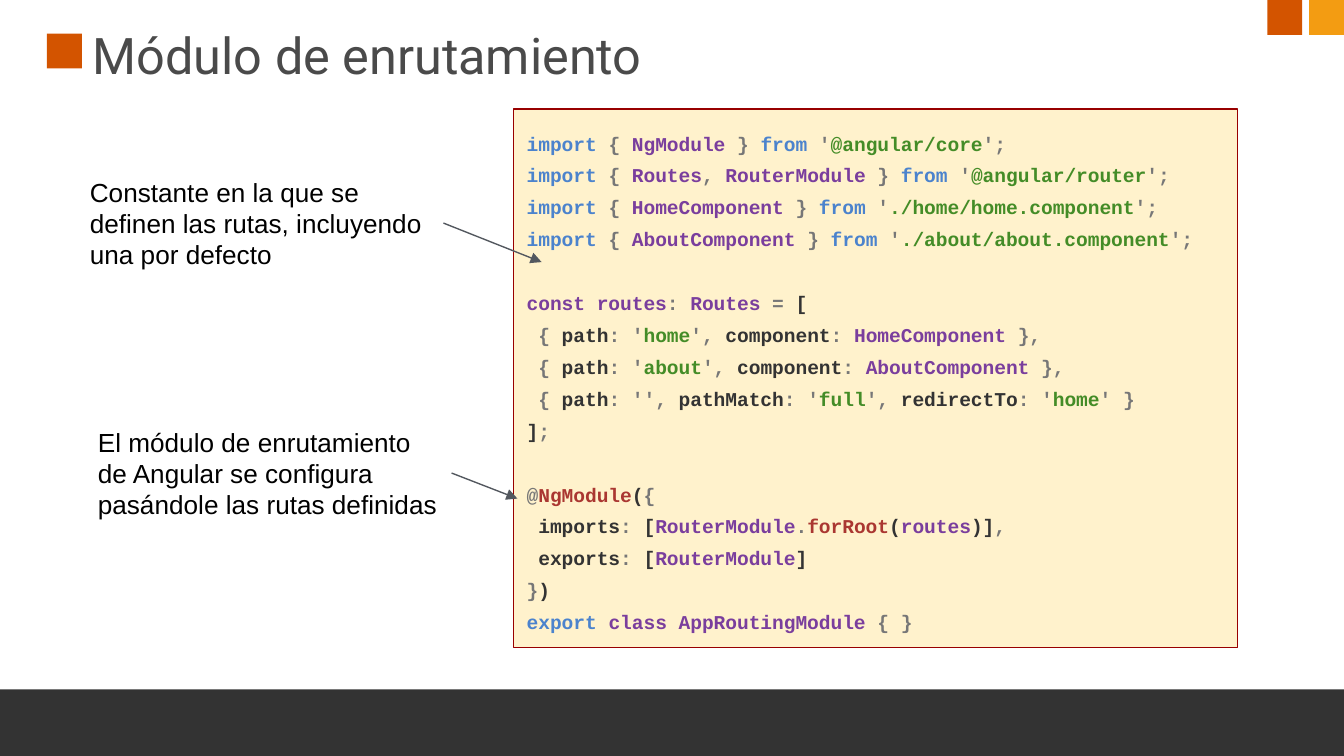
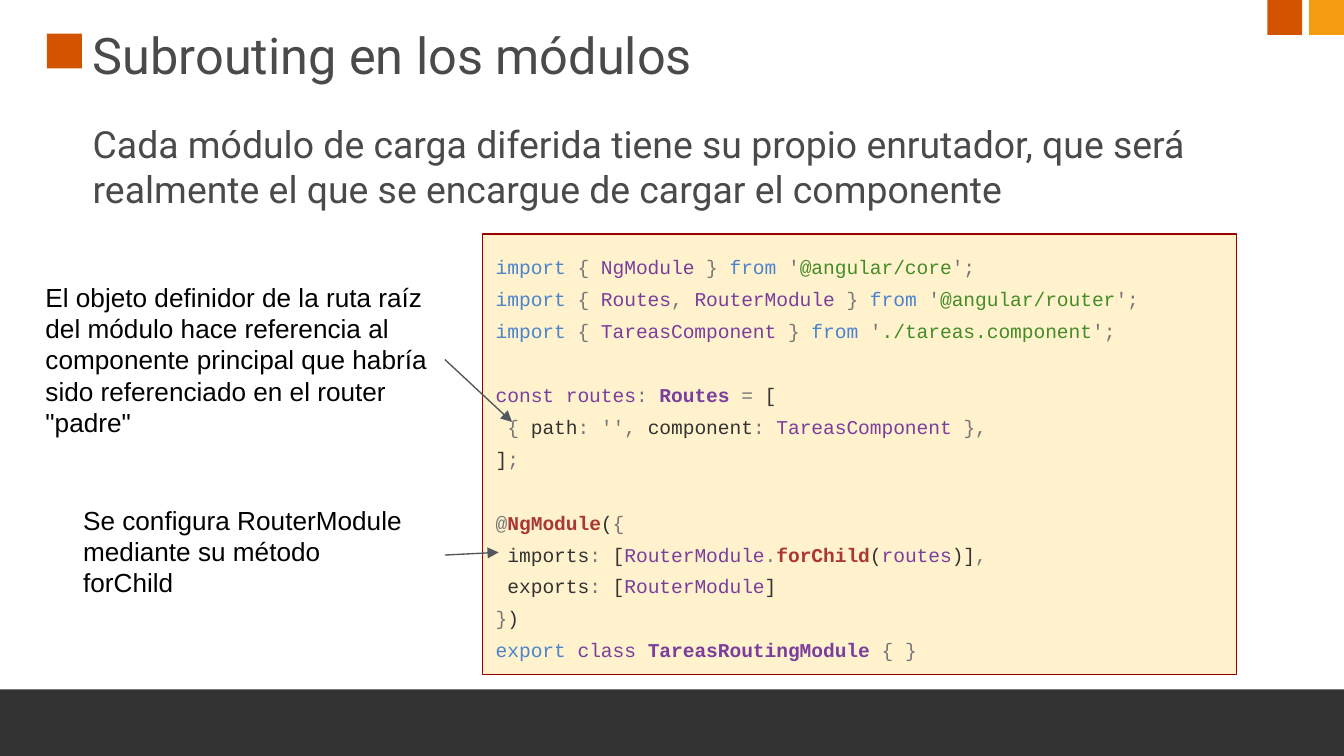
from dataclasses import dataclass
from itertools import groupby

from lxml.etree import SubElement
from pptx import Presentation
from pptx.dml.color import RGBColor
from pptx.enum.shapes import MSO_CONNECTOR, MSO_SHAPE
from pptx.enum.text import MSO_ANCHOR, MSO_AUTO_SIZE, PP_ALIGN
from pptx.oxml.ns import qn
from pptx.shapes.autoshape import Shape
from pptx.slide import Slide, SlideLayout
from pptx.text.text import TextFrame
from pptx.util import Inches, Pt

ORANGE = RGBColor(0xD3, 0x54, 0x00)
AMBER = RGBColor(0xF3, 0x9C, 0x12)
CHARCOAL = RGBColor(0x33, 0x33, 0x33)
TITLE_GREY = RGBColor(0x4A, 0x4A, 0x4A)
BLACK = RGBColor(0x00, 0x00, 0x00)
ARROW_GREY = RGBColor(0x53, 0x58, 0x5F)
CREAM = RGBColor(0xFF, 0xF2, 0xCC)
DARK_RED = RGBColor(0x98, 0x00, 0x00)

CODE_BLUE = RGBColor(0x4B, 0x83, 0xCD)
CODE_GREY = RGBColor(0x77, 0x77, 0x77)
CODE_PURPLE = RGBColor(0x7A, 0x3E, 0x9D)
CODE_GREEN = RGBColor(0x44, 0x8C, 0x27)
CODE_RED = RGBColor(0xAA, 0x37, 0x31)

WORD_COLOURS = {
    **dict.fromkeys(("import", "from", "export"), CODE_BLUE),
    **dict.fromkeys(("path", "pathMatch", "component", "redirectTo",
                     "imports", "exports"), CHARCOAL),
    **dict.fromkeys(("forRoot", "forChild"), CODE_RED),
}
CODE_SIZE = Pt(10.5)


@dataclass(frozen=True)
class Area:
    left: float
    top: float
    width: float
    height: float

    def lengths(self) -> tuple:
        return tuple(Inches(value) for value in
                     (self.left, self.top, self.width, self.height))


@dataclass(frozen=True)
class Band:
    area: Area
    colour: RGBColor


@dataclass(frozen=True)
class Note:
    text: str
    area: Area
    arrow_tip: tuple[float, float]
    anchor: MSO_ANCHOR = MSO_ANCHOR.TOP


@dataclass(frozen=True)
class CodePanel:
    code: str
    area: Area
    all_bold: bool


@dataclass(frozen=True)
class Lesson:
    title: str
    panel: CodePanel
    notes: tuple[Note, ...]
    summary: str = ""


TITLE_AREA = Area(0.63, 0.12, 8.57, 0.59)
SUMMARY_AREA = Area(0.63, 0.84, 8.57, 0.78)
BANDS = (
    Band(Area(0.35, 0.25, 0.26, 0.26), ORANGE),
    Band(Area(-0.03, 5.13, 10.05, 0.51), CHARCOAL),
    Band(Area(9.43, 0, 0.26, 0.26), ORANGE),
    Band(Area(9.74, 0, 0.26, 0.26), AMBER),
)

ROOT_ROUTING = """\
import { NgModule } from '@angular/core';
import { Routes, RouterModule } from '@angular/router';
import { HomeComponent } from './home/home.component';
import { AboutComponent } from './about/about.component';

const routes: Routes = [
 { path: 'home', component: HomeComponent },
 { path: 'about', component: AboutComponent },
 { path: '', pathMatch: 'full', redirectTo: 'home' }
];

@NgModule({
 imports: [RouterModule.forRoot(routes)],
 exports: [RouterModule]
})
export class AppRoutingModule { }"""

CHILD_ROUTING = """\
import { NgModule } from '@angular/core';
import { Routes, RouterModule } from '@angular/router';
import { TareasComponent } from './tareas.component';

const routes: Routes = [
 { path: '', component: TareasComponent },
];

@NgModule({
 imports: [RouterModule.forChild(routes)],
 exports: [RouterModule]
})
export class TareasRoutingModule { }"""

LESSONS = (
    Lesson(
        "Módulo de enrutamiento",
        CodePanel(ROOT_ROUTING, Area(3.82, 0.81, 5.39, 4.01), True),
        (
            Note("Constante en la que se definen las rutas, incluyendo una por defecto",
                 Area(0.57, 1.21, 2.73, 0.9), (4.03, 1.95)),
            Note("El módulo de enrutamiento de Angular se configura "
                 "pasándole las rutas definidas",
                 Area(0.63, 3.07, 2.73, 0.9), (3.85, 3.71)),
        ),
    ),
    Lesson(
        "Subrouting en los módulos",
        CodePanel(CHILD_ROUTING, Area(3.59, 1.74, 5.61, 3.28), False),
        (
            Note("El objeto definidor de la ruta raíz del módulo hace referencia al "
                 "componente principal que habría sido referenciado en el router \"padre\"",
                 Area(0.24, 1.99, 3.07, 1.37), (3.81, 3.14), MSO_ANCHOR.MIDDLE),
            Note("Se configura RouterModule\nmediante su método\nforChild",
                 Area(0.52, 3.65, 2.79, 0.96), (3.71, 4.11)),
        ),
        "Cada módulo de carga diferida tiene su propio enrutador, que será "
        "realmente el que se encargue de cargar el componente",
    ),
)


def set_frame(frame: TextFrame, inset: float, anchor: MSO_ANCHOR) -> None:
    frame.word_wrap = True
    frame.auto_size = MSO_AUTO_SIZE.NONE
    frame.vertical_anchor = anchor
    frame.margin_left = frame.margin_right = Inches(inset)
    frame.margin_top = frame.margin_bottom = Inches(inset)


def write_text(box: Shape, text: str, font: str, size: float, colour: RGBColor,
               inset: float, anchor: MSO_ANCHOR = MSO_ANCHOR.TOP) -> None:
    frame = box.text_frame
    set_frame(frame, inset, anchor)
    frame.text = text
    for para in frame.paragraphs:
        para.alignment = PP_ALIGN.LEFT
        for span in para.runs:
            span.font.name = font
            span.font.size = Pt(size)
            span.font.color.rgb = colour


def add_rectangle(slide: Slide, area: Area, fill: RGBColor) -> Shape:
    box = slide.shapes.add_shape(MSO_SHAPE.RECTANGLE, *area.lengths())
    box.shadow.inherit = False
    box.fill.solid()
    box.fill.fore_color.rgb = fill
    box.line.fill.background()
    return box


def move_bands_to_layout(slide: Slide, layout: SlideLayout) -> None:
    """Draw the bands on a slide, then hand them to its layout so all slides share them."""
    for band in BANDS:
        box = add_rectangle(slide, band.area, band.colour)
        layout.shapes.element.append(box.element)


def character_kind(char: str) -> str:
    if char.isalnum():
        return "word"
    return "space" if char == " " else char


def colour_line(line: str) -> list[tuple[str, RGBColor, bool]]:
    """Split a code line into (text, colour, strong) pieces; spaces join the piece before."""
    tokens = ["".join(group) for _, group in groupby(line, character_kind)]
    words = [token for token in tokens if token.isalnum()]
    declared = words[-1] if line.startswith(("const", "export")) else ""
    pieces: list[tuple[str, RGBColor, bool]] = []
    in_string = False
    previous = ""
    for token in tokens:
        strong = False
        if token.startswith("'"):
            in_string ^= len(token) % 2 == 1
            colour = CODE_GREY
        elif in_string:
            colour = CODE_GREEN
        elif token.isspace():
            colour, strong = pieces[-1][1:] if pieces else (CODE_GREY, False)
        elif token.isalnum():
            colour = CODE_RED if previous == "@" else WORD_COLOURS.get(token, CODE_PURPLE)
            strong = colour == CODE_RED or token == declared
        else:
            colour = CHARCOAL if token in "[]()" else CODE_GREY
        if pieces and pieces[-1][1:] == (colour, strong):
            text_before = pieces.pop()[0]
            pieces.append((text_before + token, colour, strong))
        else:
            pieces.append((token, colour, strong))
        previous = token
    return pieces


def add_code_panel(slide: Slide, panel: CodePanel) -> None:
    box = add_rectangle(slide, panel.area, CREAM)
    box.line.color.rgb = DARK_RED
    box.line.width = Pt(0.75)
    frame = box.text_frame
    set_frame(frame, 0.1, MSO_ANCHOR.MIDDLE)
    for number, line in enumerate(panel.code.split("\n")):
        para = frame.add_paragraph() if number else frame.paragraphs[0]
        para.alignment = PP_ALIGN.LEFT
        para.line_spacing = 1.36
        for text, colour, strong in colour_line(line):
            span = para.add_run()
            span.text = text
            span.font.name = "Courier New"
            span.font.size = CODE_SIZE
            span.font.bold = panel.all_bold or strong
            span.font.color.rgb = colour
        if not line:
            SubElement(para._p, qn("a:endParaRPr"), sz=str(int(CODE_SIZE.pt * 100)))


def add_note(slide: Slide, note: Note) -> None:
    box = slide.shapes.add_textbox(*note.area.lengths())
    write_text(box, note.text, "Arial", 14, BLACK, 0.1, note.anchor)
    tip_x, tip_y = (Inches(value) for value in note.arrow_tip)
    arrow = slide.shapes.add_connector(
        MSO_CONNECTOR.STRAIGHT, box.left + box.width, box.top + box.height // 2,
        tip_x, tip_y)
    arrow.begin_connect(box, 3)
    arrow.line.color.rgb = ARROW_GREY
    arrow.line.width = Pt(0.75)
    SubElement(arrow.line._get_or_add_ln(), qn("a:tailEnd"), type="triangle")
    SubElement(arrow.element.spPr, qn("a:effectLst"))


def add_lesson(slide: Slide, lesson: Lesson) -> None:
    title = slide.shapes.title
    title.left, title.top, title.width, title.height = TITLE_AREA.lengths()
    write_text(title, lesson.title, "Roboto", 27, TITLE_GREY, 0.06)
    if lesson.summary:
        box = slide.shapes.add_textbox(*SUMMARY_AREA.lengths())
        write_text(box, lesson.summary, "Roboto", 20, TITLE_GREY, 0.06)
    add_code_panel(slide, lesson.panel)
    for note in lesson.notes:
        add_note(slide, note)


def main() -> None:
    deck = Presentation()
    deck.slide_width = Inches(10)
    deck.slide_height = Inches(10 * 9 / 16)
    layout = deck.slide_layouts.get_by_name("Title Only")
    slides = [deck.slides.add_slide(layout) for _ in LESSONS]
    move_bands_to_layout(slides[0], layout)
    for slide, lesson in zip(slides, LESSONS):
        add_lesson(slide, lesson)
    deck.save("out.pptx")


if __name__ == "__main__":
    main()
